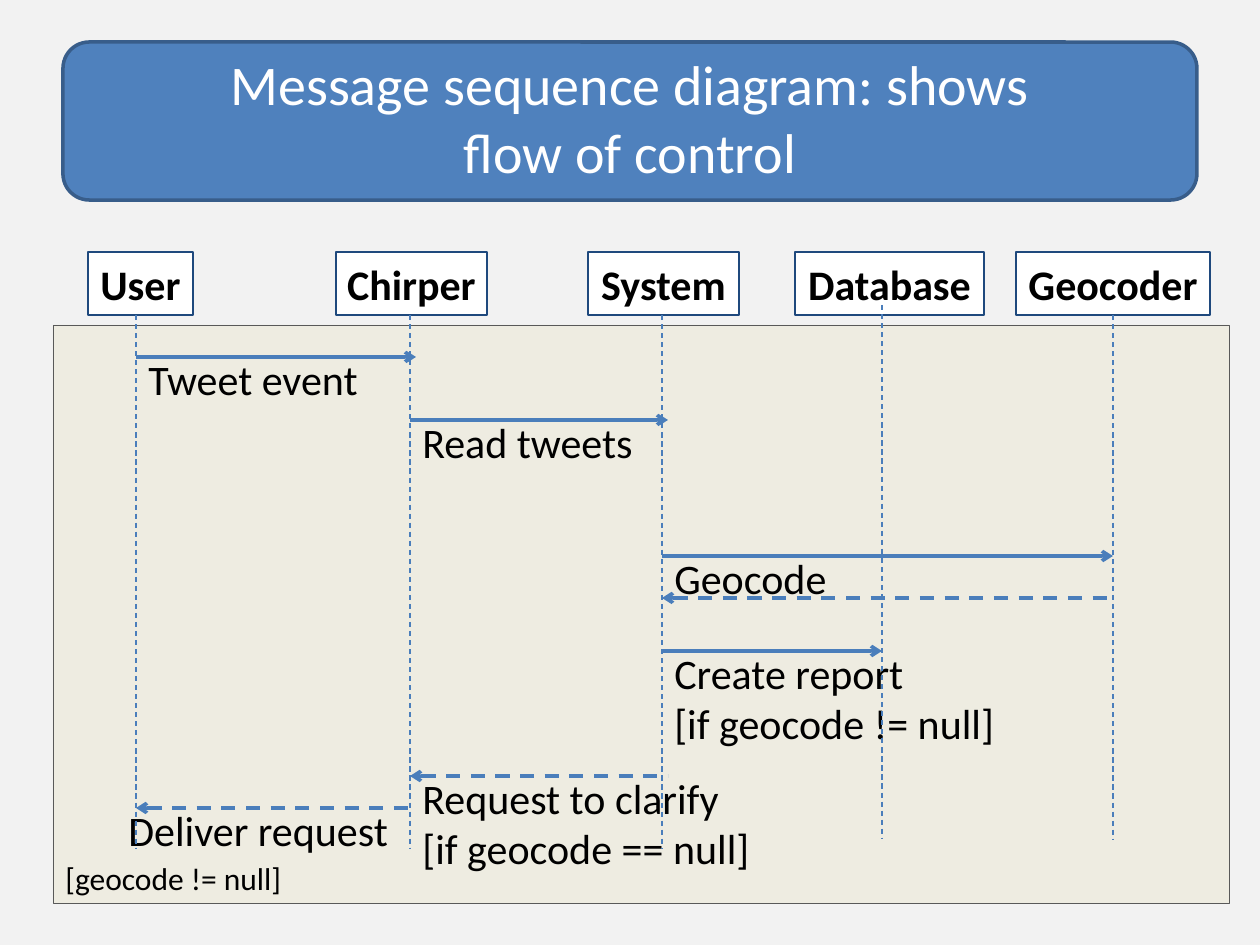
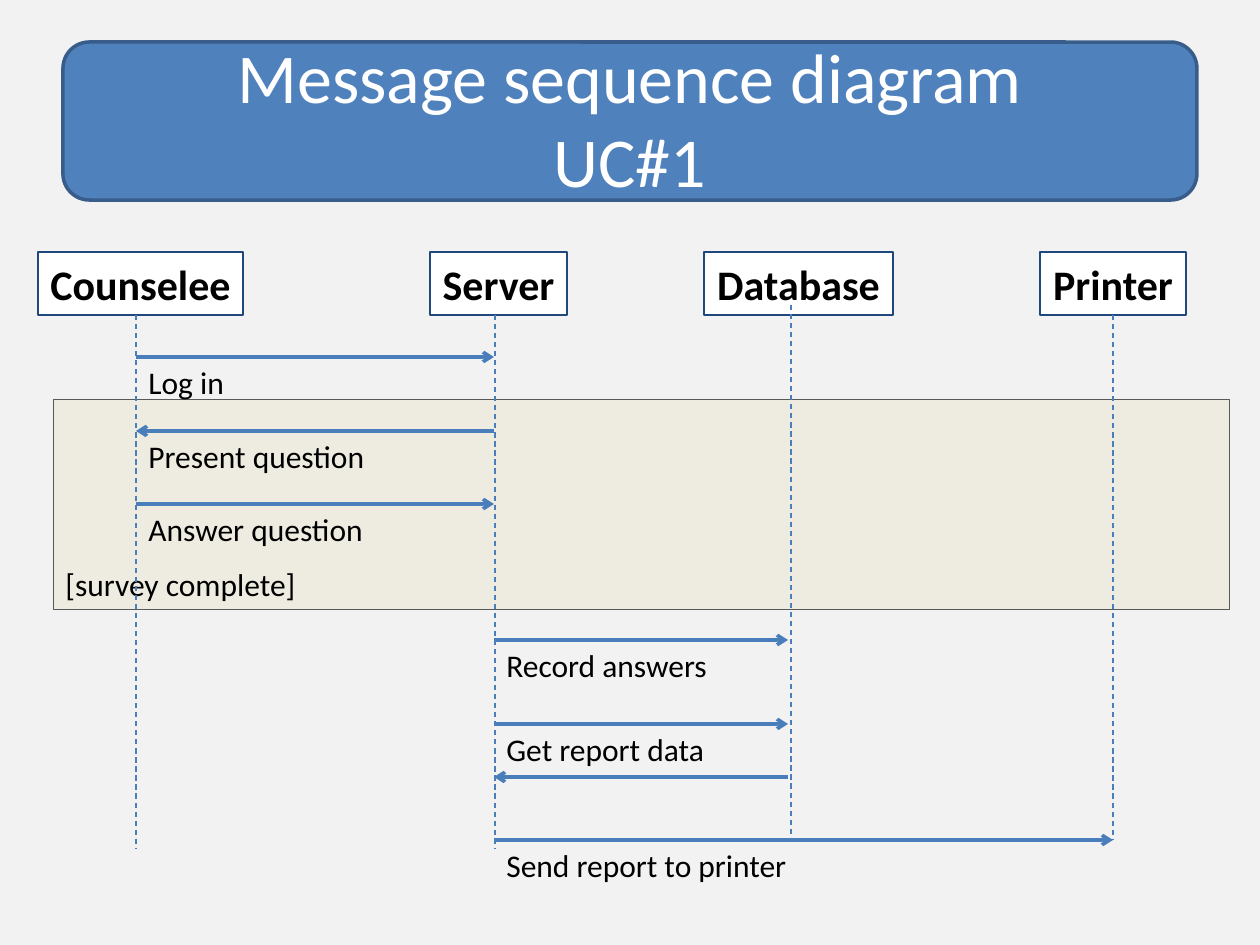
from dataclasses import dataclass

from lxml import etree
from pptx import Presentation
from pptx import util as u
from pptx.dml.color import RGBColor
from pptx.enum import dml, shapes, text
from pptx.oxml import ns

EMU_PER_PX = 914400 / 126


@dataclass(frozen=True)
class Theme:
    font: str = "Calibri"
    background: str = "F2F2F2"
    band: str = "4F81BD"
    band_edge: str = "385D8A"
    title: str = "FFFFFF"
    ink: str = "000000"
    frame: str = "EEECE1"
    frame_edge: str = "595959"
    participant: str = "FFFFFF"
    participant_edge: str = "1F497D"
    arrow: str = "4A7EBB"
    name_size: int = 24
    condition_size: int = 18
    heavy: float = 2
    thin: float = 0.75
    hairline: float = 0.25


@dataclass(frozen=True)
class Box:
    left: int
    top: int
    width: int
    height: int

    def inner(self, left, top, width, height):
        return Box(self.left + left, self.top + top, width, height)

    def emu(self):
        return [px(n) for n in (self.left, self.top, self.width, self.height)]


@dataclass(frozen=True)
class Participant:
    name: str
    left: int
    width: int
    axis: int
    top: int = 63
    bottom: int = 596


@dataclass(frozen=True)
class Message:
    start: int
    end: int
    y: int
    label: str = ""
    width: int = 0
    lines: int = 1
    shift: int = 0
    reply: bool = False


THEME = Theme()
BAND = Box(63, 42, 1134, 158)
TITLE = Box(63, 38, 1134, 158)
DIAGRAM = Box(0, 252, 1260, 693)
PARTICIPANT_HEIGHT = 63


def px(n):
    return u.Emu(round(n * EMU_PER_PX))


def color(value):
    return RGBColor.from_string(value)


def write(shape, words, size, ink=THEME.ink, bold=False, align=text.PP_ALIGN.LEFT,
          anchor=text.MSO_ANCHOR.TOP, wrap=True):
    frame = shape.text_frame
    frame.word_wrap = wrap
    frame.vertical_anchor = anchor
    paragraph = frame.paragraphs[0]
    paragraph.alignment = align
    paragraph.font.name = THEME.font
    paragraph.font.size = u.Pt(size)
    paragraph.font.bold = bold
    paragraph.font.color.rgb = color(ink)
    for number, line in enumerate(words.splitlines()):
        if number:
            paragraph.add_line_break()
        paragraph.add_run().text = line


def add_panel(slide, kind, box, fill, edge, weight):
    panel = slide.shapes.add_shape(kind, *box.emu())
    panel.shadow.inherit = False
    panel.fill.solid()
    panel.fill.fore_color.rgb = color(fill)
    panel.line.color.rgb = color(edge)
    panel.line.width = u.Pt(weight)
    return panel


def add_line(slide, box, start, end, weight, dashed=False, arrow_end=None):
    points = [px(n) for x, y in (start, end) for n in (box.left + x, box.top + y)]
    line = slide.shapes.add_connector(shapes.MSO_CONNECTOR.STRAIGHT, *points)
    line.line.color.rgb = color(THEME.arrow)
    line.line.width = u.Pt(weight)
    if dashed:
        line.line.dash_style = dml.MSO_LINE.DASH
    if arrow_end:
        etree.SubElement(line.line._get_or_add_ln(), ns.qn(arrow_end), type="arrow")
    etree.SubElement(line._element.spPr, ns.qn("a:effectLst"))
    return line


def add_title(slide, box, words, size):
    add_panel(slide, shapes.MSO_SHAPE.ROUNDED_RECTANGLE, BAND,
              THEME.band, THEME.band_edge, THEME.heavy)
    title = slide.shapes.add_textbox(*box.emu())
    write(title, words, size, THEME.title, align=text.PP_ALIGN.CENTER,
          anchor=text.MSO_ANCHOR.MIDDLE)


def add_frame(slide, box, condition):
    frame = add_panel(slide, shapes.MSO_SHAPE.RECTANGLE, box,
                      THEME.frame, THEME.frame_edge, THEME.hairline)
    write(frame, condition, THEME.condition_size, anchor=text.MSO_ANCHOR.BOTTOM)


def add_participant(slide, box, participant):
    place = box.inner(participant.left, 0, participant.width, PARTICIPANT_HEIGHT)
    head = add_panel(slide, shapes.MSO_SHAPE.RECTANGLE, place,
                     THEME.participant, THEME.participant_edge, THEME.thin)
    write(head, participant.name, THEME.name_size, bold=True,
          align=text.PP_ALIGN.CENTER, anchor=text.MSO_ANCHOR.MIDDLE, wrap=False)
    return head


def add_message(slide, box, message, size, drop):
    add_line(slide, box, (message.start, message.y), (message.end, message.y),
             THEME.heavy, message.reply, "a:headEnd" if message.reply else "a:tailEnd")
    if message.label:
        left = min(message.start, message.end)
        width = message.width or abs(message.end - message.start)
        height = 13 + round(message.lines * size * 2.1)
        place = box.inner(left + message.shift, message.y + drop, width, height)
        write(slide.shapes.add_textbox(*place.emu()), message.label, size)


def add_lifeline(slide, box, participant, head):
    lifeline = add_line(slide, box, (participant.axis, participant.top),
                        (participant.axis, participant.bottom), THEME.thin, True)
    if participant.left + participant.width / 2 == participant.axis:
        lifeline.begin_connect(head, 2)


def add_sequence(slide, box, frame, condition, participants, messages, size, drop):
    add_frame(slide, box.inner(*frame), condition)
    heads = [add_participant(slide, box, participant) for participant in participants]
    for message in messages:
        add_message(slide, box, message, size, drop)
    for participant, head in zip(participants, heads):
        add_lifeline(slide, box, participant, head)


def control_flow_slide(slide):
    user, feed, system, database, geocoder = 136, 410, 662, 882, 1113
    overshoot = 6
    participants = [
        Participant("User", 88, 105, user),
        Participant("Chirper", 336, 151, feed),
        Participant("System", 588, 151, system),
        Participant("Database", 795, 189, database, 53, 586),
        Participant("Geocoder", 1016, 194, geocoder, 63, 588),
    ]
    messages = [
        Message(user, feed + overshoot, 105, "Tweet event", 273),
        Message(feed, system + overshoot, 168, "Read tweets", 252),
        Message(feed, system + overshoot, 524,
                "Request to clarify\n[if geocode == null]", 357, 2, reply=True),
        Message(user, feed + overshoot, 556, "Deliver request", 294, shift=-20, reply=True),
        Message(system, geocoder, 304, "Geocode", 273),
        Message(system, geocoder, 346, reply=True),
        Message(system, database, 399, "Create report\n[if geocode != null]", 368, 2),
    ]
    add_title(slide, TITLE, "Message sequence diagram: shows\nflow of control", 32)
    add_sequence(slide, DIAGRAM, (53, 73, 1176, 578), "[geocode != null]",
                 participants, messages, 24, -10)


def survey_slide(slide):
    counselee, server, database, printer = 136, 494, 788, 1113
    participants = [
        Participant("Counselee", 38, 205, counselee),
        Participant("Server", 430, 137, server + 1),
        Participant("Database", 704, 189, database + 3, 53, 586),
        Participant("Printer", 1040, 146, printer, 63, 588),
    ]
    messages = [
        Message(counselee, server, 105, "Log in"),
        Message(server, counselee, 179, "Present question"),
        Message(counselee, server, 252, "Answer question"),
        Message(server, database, 388, "Record answers"),
        Message(server, database, 472, "Get report data"),
        Message(database, server, 525),
        Message(server, printer, 588, "Send report to printer"),
    ]
    add_title(slide, TITLE, "Message sequence diagram\nUC#1", 40)
    add_sequence(slide, DIAGRAM, (53, 147, 1176, 210), "[survey complete]",
                 participants, messages, 18, 0)


def main():
    deck = Presentation()
    deck.slide_width, deck.slide_height = px(1260), px(945)
    backdrop = deck.slide_master.background.fill
    backdrop.solid()
    backdrop.fore_color.rgb = color(THEME.background)
    blank = deck.slide_layouts[6]
    for build in (control_flow_slide, survey_slide):
        build(deck.slides.add_slide(blank))
    deck.save("out.pptx")


if __name__ == "__main__":
    main()
